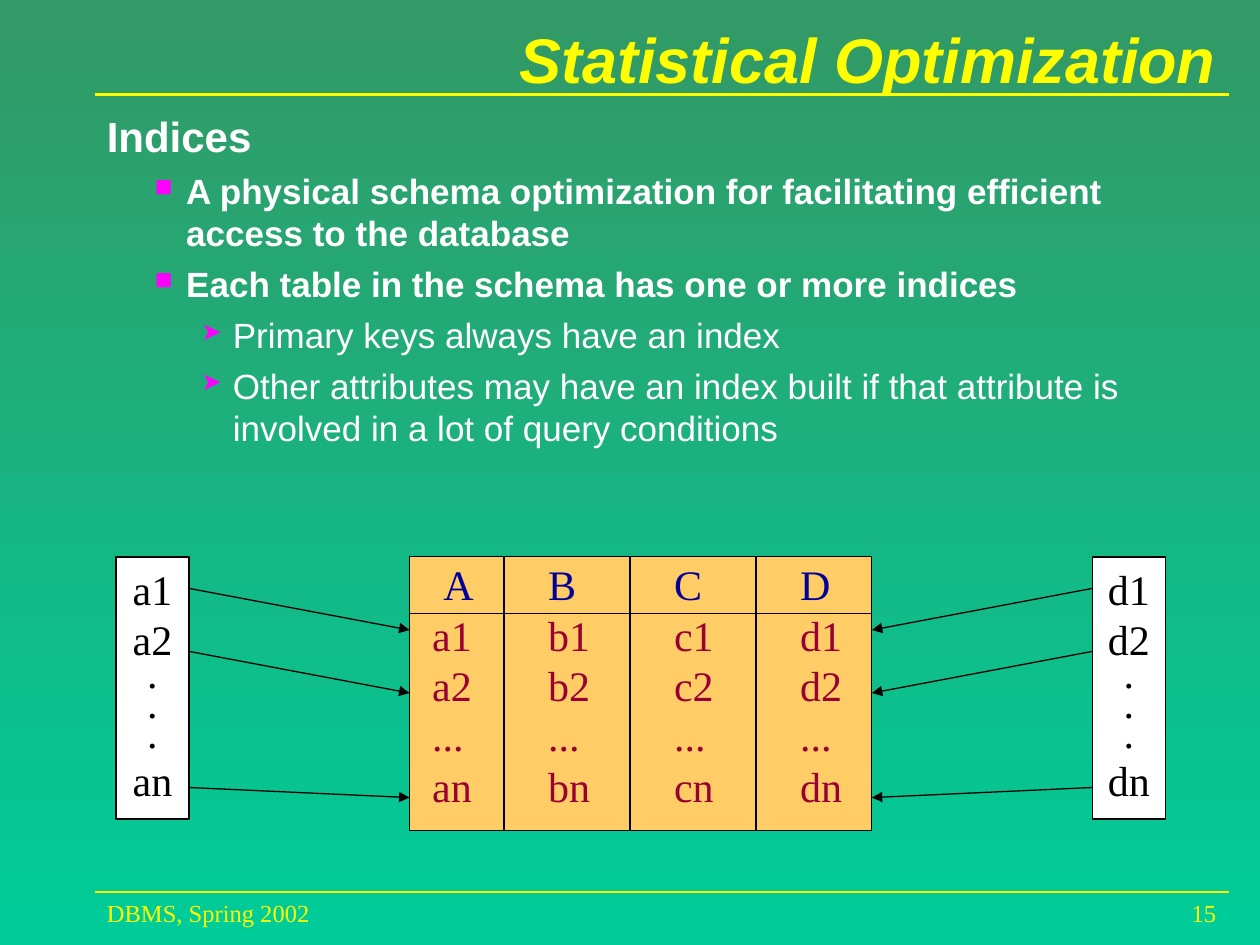
from dataclasses import dataclass

import pptx
import pptx.dml.color
import pptx.enum.shapes
import pptx.enum.text
import pptx.oxml
import pptx.oxml.ns
import pptx.util
from pptx.util import Inches

ALIGN = pptx.enum.text.PP_ALIGN
ANCHOR = pptx.enum.text.MSO_ANCHOR
YELLOW, WHITE, BLACK, MAGENTA = "FFFF00", "FFFFFF", "000000", "FF00FF"
SERIF, SANS = "Times New Roman", "Arial"
TABLE_LEFT, TABLE_RIGHT, DIAGRAM_TOP = 3.25, 6.92, 4.42


@dataclass
class Point:
    text: str
    indent: float = 0.25
    size: int = 20
    bold: bool = True
    before: int = 5
    bullet: str = ""


@dataclass
class Index:
    letter: str
    left: float
    line_start: float
    line_end: float


POINTS = [
    Point("Indices", size=24, before=0),
    Point("A physical schema optimization for facilitating efficient access to the database",
          0.63, bullet="■"),
    Point("Each table in the schema has one or more indices", 0.63, bullet="■"),
    Point("Primary keys always have an index", 1, bold=False, bullet="➤"),
    Point("Other attributes may have an index built if that attribute is involved "
          "in a lot of query conditions", 1, bold=False, bullet="➤"),
]
INDICES = [Index("a", 0.92, 1.5, TABLE_LEFT), Index("d", 8.67, 8.67, TABLE_RIGHT)]
POINTERS = [(4.67, 5), (5.17, 5.5), (6.25, 6.33)]
ROWS = ["A B C D", "a1 b1 c1 d1", "a2 b2 c2 d2", "... ... ... ...", "an bn cn dn"]
COLUMN_WIDTHS = [0.75, 1, 1, 0.92]
ROW_HEIGHTS = [0.45, 0.4, 0.4, 0.4, 0.52]


def color(value: str):
    return pptx.dml.color.RGBColor.from_string(value)


def add_xml(parent, xml: str):
    ns = pptx.oxml.ns.nsdecls("a")
    tag, rest = xml[1:].split(" ", 1)
    parent.append(pptx.oxml.parse_xml(f"<{tag} {ns} {rest}"))


def write(p, text: str, *, size=24, font=SERIF, fill=BLACK, bold=False, italic=False,
          align=ALIGN.LEFT, spacing=None):
    p.alignment = align
    if spacing:
        p.line_spacing = spacing
    r = p.add_run()
    r.text = text
    r.font.size = pptx.util.Pt(size)
    r.font.name = font
    r.font.bold = bold
    r.font.italic = italic
    r.font.color.rgb = color(fill)


def add_text_box(s, left: float, top: float, width: float, height: float,
                 anchor=ANCHOR.TOP):
    tf = s.shapes.add_textbox(Inches(left), Inches(top), Inches(width), Inches(height)).text_frame
    tf.word_wrap = True
    tf.vertical_anchor = anchor
    return tf


def next_paragraph(tf, i: int):
    return tf.add_paragraph() if i else tf.paragraphs[0]


def add_line(s, x1: float, y1: float, x2: float, y2: float, *, line=BLACK, width=0.75,
             arrow=False):
    sp = s.shapes.add_connector(pptx.enum.shapes.MSO_CONNECTOR.STRAIGHT,
                                Inches(x1), Inches(y1), Inches(x2), Inches(y2))
    sp.line.color.rgb = color(line)
    sp.line.width = pptx.util.Pt(width)
    if arrow:
        add_xml(sp.line._get_or_add_ln(), '<a:tailEnd type="triangle"/>')
    add_xml(sp._element.spPr, "<a:effectLst />")


def add_points(s, points: list[Point]):
    tf = add_text_box(s, 0.75, 0.83, 9, 6.17)
    for i, point in enumerate(points):
        p = next_paragraph(tf, i)
        pPr = p._p.get_or_add_pPr()
        pPr.set("marL", str(Inches(point.indent)))
        pPr.set("indent", str(Inches(-0.25)))
        if point.bullet:
            add_xml(pPr, f'<a:buClr ><a:srgbClr val="{MAGENTA}"/></a:buClr>')
            add_xml(pPr, '<a:buSzPct val="70000"/>')
            add_xml(pPr, f'<a:buChar char="{point.bullet}"/>')
        p.space_before = pptx.util.Pt(point.before)
        write(p, point.text, size=point.size, font=SANS, fill=WHITE, bold=point.bold)


def set_borders(cell, visible: dict[str, bool]):
    tcPr = cell._tc.get_or_add_tcPr()
    for side, shown in visible.items():
        paint = f'<a:solidFill><a:srgbClr val="{BLACK}"/></a:solidFill>' if shown else "<a:noFill/>"
        add_xml(tcPr, f'<a:ln{side} w="9525">{paint}</a:ln{side}>')


def add_data_table(s):
    last = len(ROWS) - 1
    table = s.shapes.add_table(len(ROWS), len(COLUMN_WIDTHS), Inches(TABLE_LEFT),
                               Inches(DIAGRAM_TOP), Inches(sum(COLUMN_WIDTHS)),
                               Inches(sum(ROW_HEIGHTS))).table
    table.first_row = table.horz_banding = False
    for column, width in zip(table.columns, COLUMN_WIDTHS):
        column.width = Inches(width)
    for i, (row, height) in enumerate(zip(ROWS, ROW_HEIGHTS)):
        table.rows[i].height = Inches(height)
        for j, text in enumerate(row.split()):
            cell = table.cell(i, j)
            set_borders(cell, {"L": True, "R": True, "T": i < 2, "B": i in (0, last)})
            cell.fill.solid()
            cell.fill.fore_color.rgb = color("FFCC66")
            first_column = 0.18 if i else 0.27
            cell.margin_left = Inches(0.35 if j else first_column)
            cell.margin_right = cell.margin_bottom = 0
            cell.margin_top = Inches(0 if i else 0.05)
            write(cell.text_frame.paragraphs[0], text, fill="990033" if i else "000099")


def add_index(s, index: Index):
    sp = s.shapes.add_shape(pptx.enum.shapes.MSO_SHAPE.RECTANGLE, Inches(index.left),
                            Inches(DIAGRAM_TOP), Inches(0.58), Inches(2.08))
    sp.shadow.inherit = False
    sp.fill.solid()
    sp.fill.fore_color.rgb = color(WHITE)
    sp.line.color.rgb = color(BLACK)
    sp.line.width = pptx.util.Pt(0.75)
    tf = sp.text_frame
    tf.word_wrap = False
    tf.vertical_anchor = ANCHOR.TOP
    for i, key in enumerate(["1", "2", ".", ".", ".", "n"]):
        dot = key == "."
        write(next_paragraph(tf, i), key if dot else index.letter + key,
              align=ALIGN.CENTER, spacing=0.6 if dot else None)
    for start, end in POINTERS:
        add_line(s, index.line_start, start, index.line_end, end, arrow=True)


def main():
    prs = pptx.Presentation()
    prs.slide_width, prs.slide_height = Inches(10), Inches(7.5)
    s = prs.slides.add_slide(prs.slide_layouts[6])
    background = s.background.fill
    background.gradient()
    background.gradient_angle = 270
    for stop, value in zip(background.gradient_stops, ["339966", "00CC99"]):
        stop.color.rgb = color(value)

    add_line(s, 0.75, 0.75, 9.75, 0.75, line=YELLOW, width=2.25)
    add_line(s, 0.75, 7.08, 9.75, 7.08, line=YELLOW)
    title = add_text_box(s, 0.75, 0.17, 9, 0.58, ANCHOR.MIDDLE)
    write(title.paragraphs[0], "Statistical Optimization", size=36, font=SANS, fill=YELLOW,
          bold=True, italic=True, align=ALIGN.RIGHT)
    add_points(s, POINTS)
    add_data_table(s)
    for index in INDICES:
        add_index(s, index)
    for left, text, align in [(7.67, "15", ALIGN.RIGHT), (0.75, "DBMS, Spring 2002", ALIGN.LEFT)]:
        footer = add_text_box(s, left, 7.08, 2.08, 0.25)
        write(footer.paragraphs[0], text, size=14, fill=YELLOW, align=align)
    prs.save("out.pptx")


if __name__ == "__main__":
    main()
